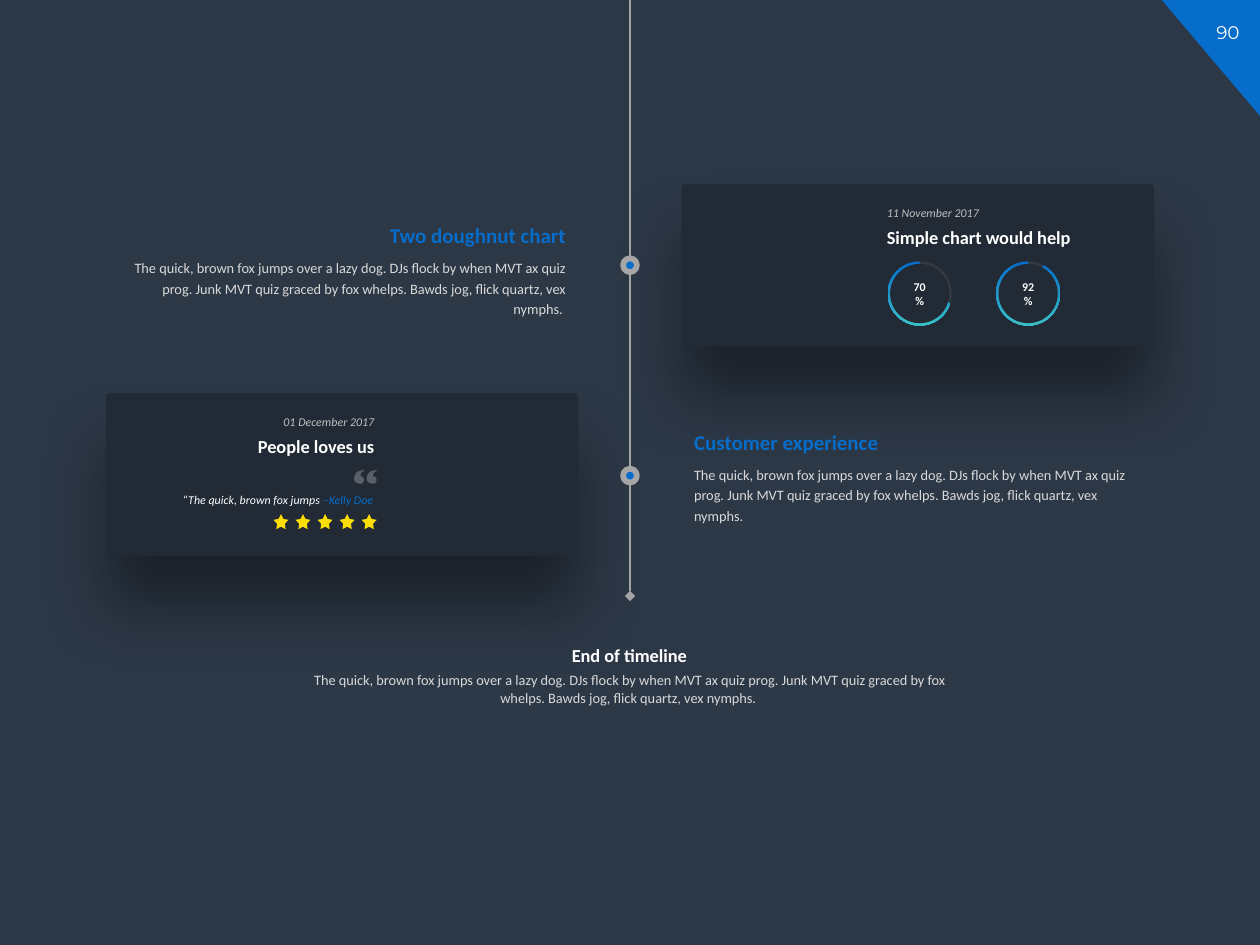
from dataclasses import dataclass

from lxml import etree
from pptx import Presentation
from pptx.chart.data import CategoryChartData
from pptx.dml.color import RGBColor
from pptx.enum.chart import XL_CHART_TYPE
from pptx.enum.shapes import MSO_CONNECTOR, MSO_SHAPE
from pptx.enum.text import MSO_ANCHOR, MSO_AUTO_SIZE, PP_ALIGN
from pptx.oxml import parse_xml
from pptx.oxml.ns import nsdecls, qn
from pptx.util import Inches, Pt

LEFT, CENTER, RIGHT = PP_ALIGN.LEFT, PP_ALIGN.CENTER, PP_ALIGN.RIGHT
MIDDLE = MSO_ANCHOR.MIDDLE
GROW = MSO_AUTO_SIZE.SHAPE_TO_FIT_TEXT
RECTANGLE, OVAL = MSO_SHAPE.ROUNDED_RECTANGLE, MSO_SHAPE.OVAL
STAR, TRIANGLE = MSO_SHAPE.STAR_5_POINT, MSO_SHAPE.RIGHT_TRIANGLE
STRAIGHT, PIE = MSO_CONNECTOR.STRAIGHT, XL_CHART_TYPE.PIE


@dataclass(frozen=True)
class Theme:
    font: str = "Calibri"
    number_font: str = "Montserrat"
    background: str = "2D3847"
    card: str = "222A35"
    accent: str = "066DCA"
    teal: str = "3ABFC4"
    line: str = "A6A6A6"
    date: str = "BFBFBF"
    body: str = "D9D9D9"
    white: str = "FFFFFF"
    star: str = "FCDE04"
    heading_size: float = 12
    title_size: float = 10.5
    body_size: float = 8.2
    small_size: float = 6.8


THEME = Theme()
BODY = ("The quick, brown fox jumps over a lazy dog. DJs flock by when MVT ax quiz "
        "prog. Junk MVT quiz graced by fox whelps. Bawds jog, flick quartz, vex nymphs.")
CARD_WIDTH, CARD_HEIGHT = 3.75, 1.29
LEFT_COLUMN, RIGHT_COLUMN = 0.84, 5.41
AXIS_X = 5
# One quotation mark, in thousandths of an inch
QUOTE_MARK = [(80, 0), (80, 9), (70, 12), (59, 22), (53, 32), (51, 45), (53, 50),
              (60, 52), (74, 60), (80, 80), (74, 98), (65, 107), (52, 110), (32, 107),
              (12, 98), (3, 85), (0, 70), (4, 46), (18, 22), (40, 8)]


def rgb(color):
    return RGBColor.from_string(color)


def paint_solid(fill, color):
    fill.solid()
    fill.fore_color.rgb = rgb(color)


def paint_gradient(fill, angle):
    fill.gradient()
    fill.gradient_angle = angle
    for stop, color in zip(fill.gradient_stops, (THEME.accent, THEME.teal)):
        stop.color.rgb = rgb(color)


def set_alpha(properties, percent):
    color = properties.find(qn("a:solidFill"))[0]
    etree.SubElement(color, qn("a:alpha")).set("val", str(percent * 1000))


def write_para(frame, spans, size, font=THEME.font, align=LEFT, spacing=None,
               bold=False, italic=False, gradient=False):
    """Fill the first paragraph with (text, color) spans."""
    para = frame.paragraphs[0]
    para.alignment = align
    if spacing:
        para.line_spacing = spacing
    for text, color in spans:
        span = para.add_run()
        span.text = text
        span.font.name, span.font.size = font, Pt(size)
        span.font.bold, span.font.italic = bold, italic
        if gradient:
            paint_gradient(span.font.fill, 0)
        else:
            paint_solid(span.font.fill, color)


def add_text(page, area, text, color=THEME.white, extra=(), **style):
    box = page.shapes.add_textbox(*map(Inches, area))
    frame = box.text_frame
    frame.word_wrap = True
    frame.auto_size = GROW
    write_para(frame, [(text, color), *extra], **style)


def add_shape(page, kind, area, color):
    shape = page.shapes.add_shape(kind, *map(Inches, area))
    shape.shadow.inherit = False
    paint_solid(shape.fill, color)
    shape.line.fill.background()
    return shape


def add_card(page, left, top):
    card = add_shape(page, RECTANGLE, (left, top, CARD_WIDTH, CARD_HEIGHT), THEME.card)
    card.adjustments[0] = 0.026
    effects = card.element.spPr.find(qn("a:effectLst"))
    effects.append(parse_xml(
        f'<a:outerShdw {nsdecls("a")} blurRad="{Pt(37)}" dist="{Pt(29)}" dir="5400000" '
        'algn="t" rotWithShape="0"><a:srgbClr val="000000"><a:alpha val="40000"/>'
        '</a:srgbClr></a:outerShdw>'))


def add_card_heading(page, left, top, date, title, align):
    add_text(page, (left, top, 2.11, 0.24), date, THEME.date, size=THEME.small_size,
             align=align, spacing=1.2, italic=True)
    add_text(page, (left, top + 0.15, 2.11, 0.31), title, size=THEME.title_size,
             align=align, spacing=1.2, bold=True)


def add_story(page, left, top, heading, body, align):
    add_text(page, (left, top + 0.3, CARD_WIDTH, 0.6), body, THEME.body,
             size=THEME.body_size, align=align, spacing=1.2)
    add_text(page, (left, top, CARD_WIDTH, 0.34), heading, size=THEME.heading_size,
             align=align, spacing=1.2, bold=True, gradient=True)


def add_axis(page, bottom):
    axis = page.shapes.add_connector(STRAIGHT, Inches(AXIS_X), 0, Inches(AXIS_X), Inches(bottom))
    axis.line.width = Pt(1.25)
    paint_solid(axis.line.fill, THEME.line)
    etree.SubElement(axis.line._get_or_add_ln(), qn("a:tailEnd")).set("type", "diamond")
    etree.SubElement(axis._element.spPr, qn("a:effectLst"))


def add_milestone(page, top):
    dot = add_shape(page, OVAL, (AXIS_X - 0.055, top, 0.11, 0.11), THEME.accent)
    paint_solid(dot.line.fill, THEME.line)
    dot.line.width = Pt(3.25)


def add_ring(page, left, top, percent):
    """A pie with a disc over it, leaving a thin progress ring."""
    width, height, diameter, disc_size = 0.78, 0.96, 0.51, 0.47
    data = CategoryChartData()
    data.categories = ["1", "2"]
    data.add_series("Series 1", (100 - percent, percent))
    chart = page.shapes.add_chart(PIE, *map(Inches, (left, top, width, height)), data).chart
    chart.has_legend = chart.has_title = False
    chart.font.name, chart.font.size = THEME.font, Pt(10)
    chart.font.color.rgb = rgb("000000")
    plot = chart.plots[0]
    plot.vary_by_categories = True
    rest, done = (plot.series[0].points[index].format for index in range(2))
    paint_solid(rest.fill, THEME.white)
    set_alpha(plot.series[0]._element.find(".//" + qn("c:spPr")), 8)
    paint_gradient(done.fill, 270)
    for part in (rest, done):
        part.line.fill.background()

    # Fixed plot area, centred in the chart
    share_x, share_y = diameter / width, diameter / height
    area = chart._chartSpace.find(".//" + qn("c:plotArea"))
    for layout in area.findall(qn("c:layout")):
        area.remove(layout)
    area.insert(0, parse_xml(
        f'<c:layout {nsdecls("c")}><c:manualLayout><c:layoutTarget val="inner"/>'
        '<c:xMode val="edge"/><c:yMode val="edge"/>'
        f'<c:x val="{(1 - share_x) / 2}"/><c:y val="{(1 - share_y) / 2}"/>'
        f'<c:w val="{share_x}"/><c:h val="{share_y}"/></c:manualLayout></c:layout>'))

    disc = add_shape(page, OVAL, (left + (width - disc_size) / 2, top + (height - disc_size) / 2,
                                  disc_size, disc_size), THEME.card)
    disc.text_frame.vertical_anchor = MIDDLE
    write_para(disc.text_frame, [(f"{percent}%", THEME.white)], size=THEME.small_size,
               align=CENTER, bold=True)


def add_quote(page, left, top):
    first, second = ([(x + shift, y) for x, y in QUOTE_MARK] for shift in (0, 100))
    builder = page.shapes.build_freeform(*first[0], scale=Inches(1) / 1000)
    builder.add_line_segments(first[1:], close=True)
    builder.move_to(*second[0])
    builder.add_line_segments(second[1:], close=True)
    quote = builder.convert_to_shape(Inches(left), Inches(top))
    quote.shadow.inherit = False
    paint_solid(quote.fill, THEME.white)
    set_alpha(quote.element.spPr, 25)
    quote.line.fill.background()


def add_stars(page, left, top, count):
    for index in range(count):
        star = add_shape(page, STAR, (left + index * 0.175, top, 0.12, 0.12), THEME.star)
        star.adjustments[0] = 0.257


def main():
    deck = Presentation()
    deck.slide_width, deck.slide_height = Inches(10), Inches(7.5)
    page = deck.slides.add_slide(deck.slide_layouts[6])
    paint_solid(page.background.fill, THEME.background)

    # Page number corner
    add_shape(page, TRIANGLE, (9.22, 0, 0.78, 0.92), THEME.accent).rotation = 180
    add_text(page, (9.49, 0.12, 0.51, 0.28), "90", size=THEME.title_size,
             font=THEME.number_font, align=CENTER)

    # Timeline
    add_axis(page, 4.73)

    # First milestone: charts
    add_card(page, RIGHT_COLUMN, 1.46)
    add_story(page, LEFT_COLUMN, 1.68, "Two doughnut chart", BODY + " ", RIGHT)
    add_card_heading(page, 6.94, 1.56, "11 November 2017", "Simple chart would help", LEFT)

    # Second milestone: review
    add_card(page, LEFT_COLUMN, 3.12)
    add_story(page, RIGHT_COLUMN, 3.32, "Customer experience", BODY, LEFT)
    add_card_heading(page, 0.96, 3.22, "01 December 2017", "People loves us", RIGHT)

    for top in (2.05, 3.72):
        add_milestone(page, top)
    for left, percent in ((6.91, 70), (7.77, 92)):
        add_ring(page, left, 1.85, percent)

    add_text(page, (1.27, 3.86, 1.79, 0.21), "“The quick, brown fox jumps ",
             extra=[("–Kelly Doe", THEME.accent)], size=THEME.small_size,
             align=RIGHT, italic=True)
    add_stars(page, 2.17, 4.08, 5)
    add_quote(page, 2.81, 3.73)

    # Closing text
    add_text(page, (2.25, 5.28, 5.5, 0.38), BODY + " ", THEME.body,
             size=THEME.body_size, align=CENTER)
    add_text(page, (4.24, 5.03, 1.51, 0.31), "End of timeline", size=THEME.title_size,
             align=CENTER, spacing=1.2, bold=True)

    deck.save("out.pptx")


if __name__ == "__main__":
    main()
